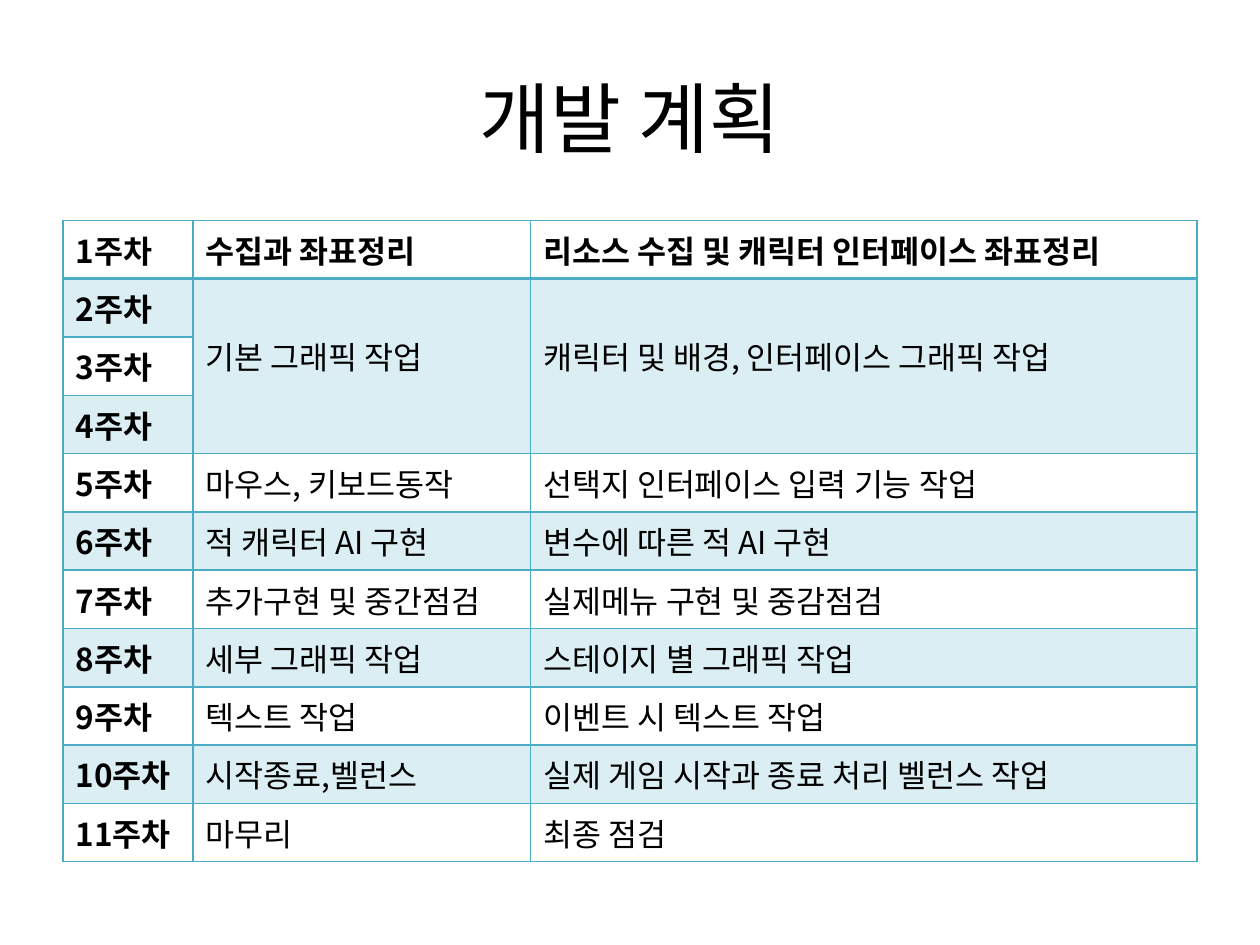
from lxml import etree
from pptx import Presentation, util as u
from pptx.dml.color import RGBColor
from pptx.enum import text as t
from pptx.oxml import ns

FONT = "Noto Sans CJK KR"
BLACK = RGBColor(0x00, 0x00, 0x00)
TEAL = RGBColor(0x4B, 0xAC, 0xC6)
WIDE, HIGH = u.Inches(10), u.Inches(7.5)
EDGE = 0.05
COLS = (0.103, 0.268, 0.529)
TALL = u.Inches(5.09)
SPAN = (1, 3)
LINE = u.Inches(0.38)
PLAN = (
    ("수집과 좌표정리", "리소스 수집 및 캐릭터 인터페이스 좌표정리"),
    ("기본 그래픽 작업", "캐릭터 및 배경, 인터페이스 그래픽 작업"),
    (),
    (),
    ("마우스, 키보드동작", "선택지 인터페이스 입력 기능 작업"),
    ("적 캐릭터 AI 구현", "변수에 따른 적 AI 구현"),
    ("추가구현 및 중간점검", "실제메뉴 구현 및 중감점검"),
    ("세부 그래픽 작업", "스테이지 별 그래픽 작업"),
    ("텍스트 작업", "이벤트 시 텍스트 작업"),
    ("시작종료,벨런스", "실제 게임 시작과 종료 처리 벨런스 작업"),
    ("마무리", "최종 점검"),
)


def write(frame, words, size=18, bold=False, align=t.PP_ALIGN.LEFT):
    para = frame.paragraphs[0]
    para.alignment = align
    run = para.add_run()
    run.text = words
    font = run.font
    font.name, font.size, font.bold = FONT, u.Pt(size), bold
    font.color.rgb = BLACK


def shade(cell, tint):
    """Fill the cell with one fifth teal, or leave it clear."""
    if not tint:
        cell.fill.background()
        return
    cell.fill.solid()
    cell.fill.fore_color.rgb = TEAL
    color = cell._tc.tcPr.find(".//" + ns.qn("a:srgbClr"))
    etree.SubElement(color, ns.qn("a:alpha")).set("val", "20000")


def border(cell, **widths):
    """Rule the four sides; widths in points go by side, 1 if not given."""
    for at, side in enumerate("LRTB"):
        line = etree.Element(ns.qn("a:ln" + side))
        line.set("w", str(u.Pt(widths.get(side, 1))))
        fill = etree.SubElement(line, ns.qn("a:solidFill"))
        etree.SubElement(fill, ns.qn("a:srgbClr")).set("val", str(TEAL))
        cell._tc.get_or_add_tcPr().insert(at, line)


def title(slide, words):
    box = slide.shapes.add_textbox(
        int(WIDE * EDGE), int(HIGH * 0.04), int(WIDE * 0.9), int(HIGH / 6))
    frame = box.text_frame
    frame.word_wrap = True
    frame.vertical_anchor = t.MSO_ANCHOR.MIDDLE
    write(frame, words, size=44, align=t.PP_ALIGN.CENTER)


def table(slide):
    count = len(PLAN)
    grid = slide.shapes.add_table(
        count, len(COLS), int(WIDE * EDGE), u.Inches(1.75),
        int(WIDE * sum(COLS)), TALL).table
    for col, share in zip(grid.columns, COLS):
        col.width = int(WIDE * share)
    first, last = SPAN
    for col in range(1, len(COLS)):
        grid.cell(first, col).merge(grid.cell(last, col))
        grid.cell(first, col).margin_top = u.Inches(0.05) + LINE
    for row, tasks in enumerate(PLAN):
        grid.rows[row].height = TALL // count
        rules = {0: {"B": 2}, 1: {"T": 2}}.get(row, {})
        for col in range(len(COLS)):
            cell = grid.cell(row, col)
            shade(cell, row % 2 == 1)
            border(cell, **rules)
        for col, words in enumerate((f"{row + 1}주차", *tasks)):
            write(grid.cell(row, col).text_frame, words,
                  bold=row == 0 or col == 0)


def main():
    deck = Presentation()
    deck.slide_width, deck.slide_height = WIDE, HIGH
    slide = deck.slides.add_slide(deck.slide_layouts[6])
    title(slide, "개발 계획")
    table(slide)
    deck.save("out.pptx")


if __name__ == "__main__":
    main()
